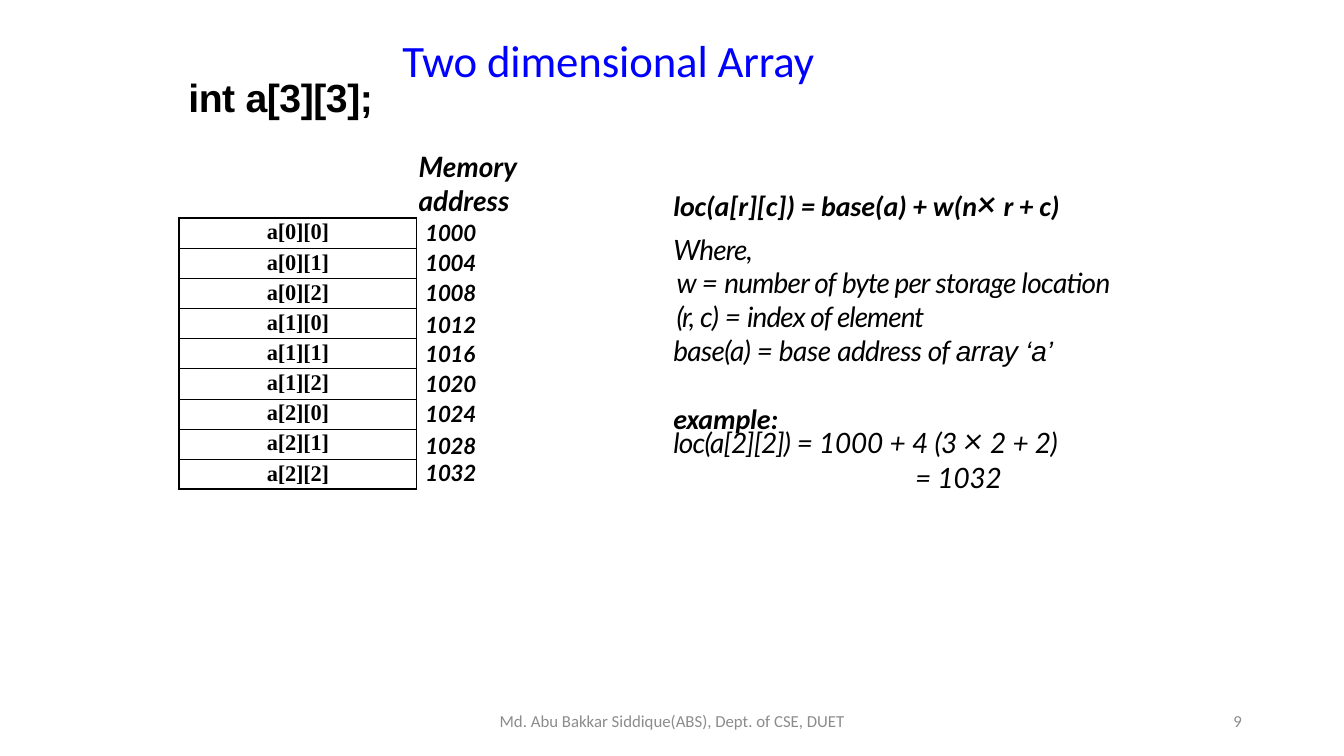
from lxml import etree
from pptx import Presentation
from pptx.dml.color import RGBColor
from pptx.enum.text import MSO_ANCHOR, MSO_AUTO_SIZE, PP_ALIGN
from pptx.oxml.ns import qn
from pptx.util import Cm, Pt

LEFT, CENTER, RIGHT = PP_ALIGN.LEFT, PP_ALIGN.CENTER, PP_ALIGN.RIGHT
TOP, MIDDLE, BOTTOM = MSO_ANCHOR.TOP, MSO_ANCHOR.MIDDLE, MSO_ANCHOR.BOTTOM
NO_AUTOFIT = MSO_AUTO_SIZE.NONE
BLACK, BLUE, GRAY = "000000", "0000FF", "8C8C8C"

TITLE = "Two dimensional Array"
FOOTER = "Md. Abu Bakkar Siddique(ABS), Dept. of CSE, DUET"
PAGE_NUMBER = "9"
DECLARATION = [("int ", -0.4), ("a[3][3];", -0.3)]
ADDRESS_HEADING = "Memory address"
ARRAY_SIZE = 3
BASE_ADDRESS, ELEMENT_BYTES = 1000, 4
ADDRESS_TOP_MARGINS = [0.05, 0.03, 0.03, 0.08, 0.05, 0.05, 0.03, 0.08, 0]

# Each line: paragraph format, font format, runs of (text, letter spacing, own font format)
HEADING = {"name": "Calibri", "bold": True}
BODY = {"name": "Lato", "bold": False}
EXPLANATION = [
    ({"space_before": Pt(7.5)}, HEADING,
     [("loc(a[r][c]) = base(a) + w(n", -0.1, {}),
      ("× ", -0.1, {"name": "Lato", "size": Pt(24)}), ("r + c)", -0.1, {})]),
    ({"space_before": Pt(6.2)}, BODY, [("Where,", -0.6, {})]),
    ({"indent": Cm(0.08)}, BODY,
     [("w = ", -0.3, {}), ("number of ", -0.6, {}), ("byte per ", -0.7, {}),
      ("storage location", -0.5, {})]),
    ({"indent": Cm(0.08)}, BODY,
     [("(r, ", -1.1, {}), ("c) ", -0.6, {}), ("= ", -0.3, {}),
      ("index of element", -0.7, {})]),
    ({}, BODY,
     [("base(a) ", -0.5, {}), ("= base ", -0.3, {}), ("address ", -0.5, {}),
      ("of ", -0.6, {}), ("array ", -0.3, {"name": "Arial"}),
      ("‘a’", -0.1, {"name": "Arial"})]),
    ({"space_before": Pt(24.5)}, HEADING, [("example:", -0.1, {})]),
    ({"space_before": Pt(5.8), "line_spacing": Pt(12.5)}, BODY,
     [("loc(a[2][2]) ", -0.6, {}), ("= ", -0.3, {}), ("1000 ", -0.2, {}),
      ("+ ", -0.3, {}), ("4 ", -0.2, {}), ("(3 ", -0.5, {}),
      ("× ", -0.4, {"size": Pt(24)}), ("2 ", -0.2, {}), ("+ ", -0.3, {}),
      ("2)", -0.5, {})]),
    ({"space_before": Pt(11.9), "line_spacing": Pt(11.9), "alignment": CENTER}, BODY,
     [("= ", -0.3, {}), ("1032", -0.2, {})]),
]


def set_all(target, values):
    for name, value in values.items():
        setattr(target, name, value)


def add_run(paragraph, text, spacing=0, color=BLACK, **font_format):
    run = paragraph.add_run()
    run.text = text
    set_all(run.font, font_format)
    run.font.color.rgb = RGBColor.from_string(color)
    if spacing:
        run.font._element.set("spc", str(round(spacing * 100)))


def format_paragraph(paragraph, values, left=0):
    values = dict(values)
    properties = paragraph._p.get_or_add_pPr()
    properties.set("marL", str(Cm(left)))
    properties.set("indent", str(values.pop("indent", 0)))
    set_all(paragraph, values)


def format_frame(frame, anchor, margins):
    """Margins run left, top, right, bottom in centimetres."""
    sides = ("margin_left", "margin_top", "margin_right", "margin_bottom")
    set_all(frame, {side: Cm(margin) for side, margin in zip(sides, margins)})
    set_all(frame, {"word_wrap": True, "auto_size": NO_AUTOFIT, "vertical_anchor": anchor})


def add_text_box(slide, box, anchor, margins):
    frame = slide.shapes.add_textbox(*map(Cm, box)).text_frame
    format_frame(frame, anchor, margins)
    return frame


def format_cell(cell, top_margin, borders):
    """Borders map L, R, T and B to widths in points; the other sides stay empty."""
    set_all(cell, {"margin_left": 0, "margin_right": 0, "margin_bottom": 0,
                   "margin_top": Cm(top_margin), "vertical_anchor": TOP})
    properties = cell._tc.get_or_add_tcPr()
    for side in "LRTB":
        line = etree.SubElement(properties, qn(f"a:ln{side}"))
        if side in borders:
            line.set("w", str(Pt(borders[side])))
            fill = etree.SubElement(line, qn("a:solidFill"))
            etree.SubElement(fill, qn("a:srgbClr")).set("val", BLACK)
        else:
            etree.SubElement(line, qn("a:noFill"))
    cell.fill.background()


def add_title(slide):
    title = slide.shapes.title
    set_all(title, {"left": Cm(9.12), "top": Cm(0.79), "width": Cm(12.42), "height": Cm(1.4)})
    format_frame(title.text_frame, BOTTOM, (0, 0.03, 0, 0))
    paragraph = title.text_frame.paragraphs[0]
    format_paragraph(paragraph, {"alignment": CENTER})
    add_run(paragraph, TITLE, -0.1, BLUE, name="Calibri", size=Pt(32))


def add_memory_table(slide):
    elements = [f"a[{row}][{column}]" for row in range(ARRAY_SIZE) for column in range(ARRAY_SIZE)]
    count = len(elements)
    heading_height, row_height = 3.76, 0.76
    frame = slide.shapes.add_table(count + 1, 2, Cm(4.52), Cm(1.73), Cm(9.37),
                                   Cm(heading_height + count * row_height))
    table = frame.table
    set_all(table, {"first_row": False, "horz_banding": False})
    for column, width in zip(table.columns, (5.98, 3.39)):
        column.width = Cm(width)
    for index, row in enumerate(table.rows):
        row.height = Cm(row_height if index else heading_height)

    declaration, heading = table.cell(0, 0), table.cell(0, 1)
    format_cell(declaration, 0.99, {"B": 1.5})
    paragraph = declaration.text_frame.paragraphs[0]
    format_paragraph(paragraph, {"line_spacing": Pt(9.4)}, 0.23)
    for text, spacing in DECLARATION:
        add_run(paragraph, text, spacing, name="Arial", size=Pt(28), bold=True)
    format_cell(heading, 2.05, {})
    paragraph = heading.text_frame.paragraphs[0]
    format_paragraph(paragraph, {}, 0.05)
    add_run(paragraph, ADDRESS_HEADING, name="Lato", size=Pt(20), bold=True, italic=True)

    for index, (element, top_margin) in enumerate(zip(elements, ADDRESS_TOP_MARGINS)):
        element_cell, address_cell = table.cell(index + 1, 0), table.cell(index + 1, 1)
        format_cell(element_cell, 0.05, {"L": 1.5, "R": 0.5, "T": 0.5 if index else 1.5,
                                         "B": 0.5 if index < count - 1 else 1.5})
        paragraph = element_cell.text_frame.paragraphs[0]
        format_paragraph(paragraph, {"alignment": CENTER, "space_before": Pt(1.6)})
        add_run(paragraph, element, -0.1, name="Times New Roman", size=Pt(16), bold=True)
        format_cell(address_cell, top_margin, {"L": 0.5})
        paragraph = address_cell.text_frame.paragraphs[0]
        format_paragraph(paragraph, {}, 0.22)
        add_run(paragraph, str(BASE_ADDRESS + index * ELEMENT_BYTES), -0.2,
                name="Lato", size=Pt(16), bold=True, italic=True)


def add_explanation(slide):
    frame = add_text_box(slide, (16.94, 4.37, 14.43, 8.2), TOP, (0, 0.25, 0, 0))
    for index, (layout, font, runs) in enumerate(EXPLANATION):
        paragraph = frame.add_paragraph() if index else frame.paragraphs[0]
        format_paragraph(paragraph, layout, 0 if "alignment" in layout else 0.03)
        for text, spacing, own_font in runs:
            add_run(paragraph, text, spacing,
                    **{"size": Pt(20), "italic": True, **font, **own_font})


def add_footer(slide):
    for text, left, width, alignment in ((FOOTER, 11.23, 11.43, CENTER),
                                         (PAGE_NUMBER, 23.93, 7.62, RIGHT)):
        frame = add_text_box(slide, (left, 17.65, width, 1.02), MIDDLE, (0.25, 0.13, 0.25, 0.13))
        paragraph = frame.paragraphs[0]
        paragraph.alignment = alignment
        add_run(paragraph, text, color=GRAY, name="Calibri", size=Pt(12))


def main():
    presentation = Presentation()
    presentation.slide_width, presentation.slide_height = Cm(33.87), Cm(19.05)
    slide = presentation.slides.add_slide(presentation.slide_layouts[5])
    add_footer(slide)
    add_title(slide)
    add_memory_table(slide)
    add_explanation(slide)
    presentation.save("out.pptx")


if __name__ == "__main__":
    main()
